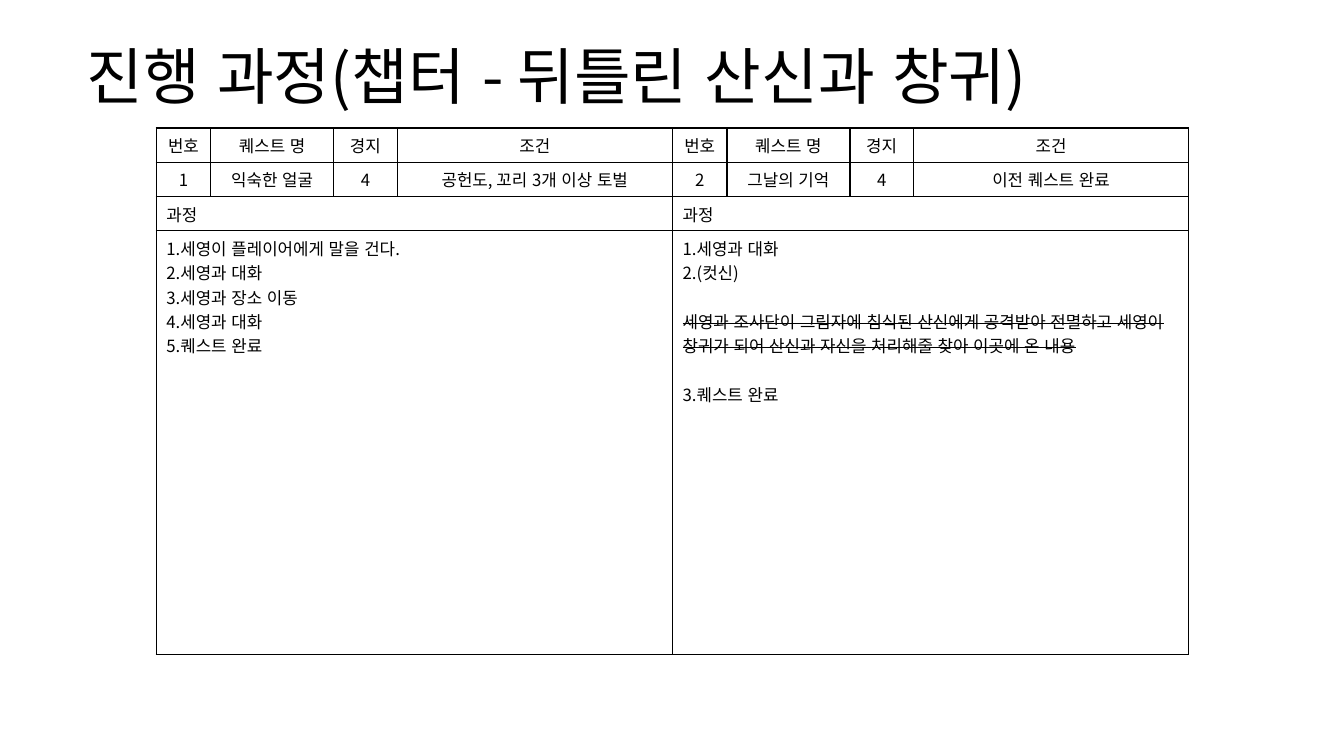
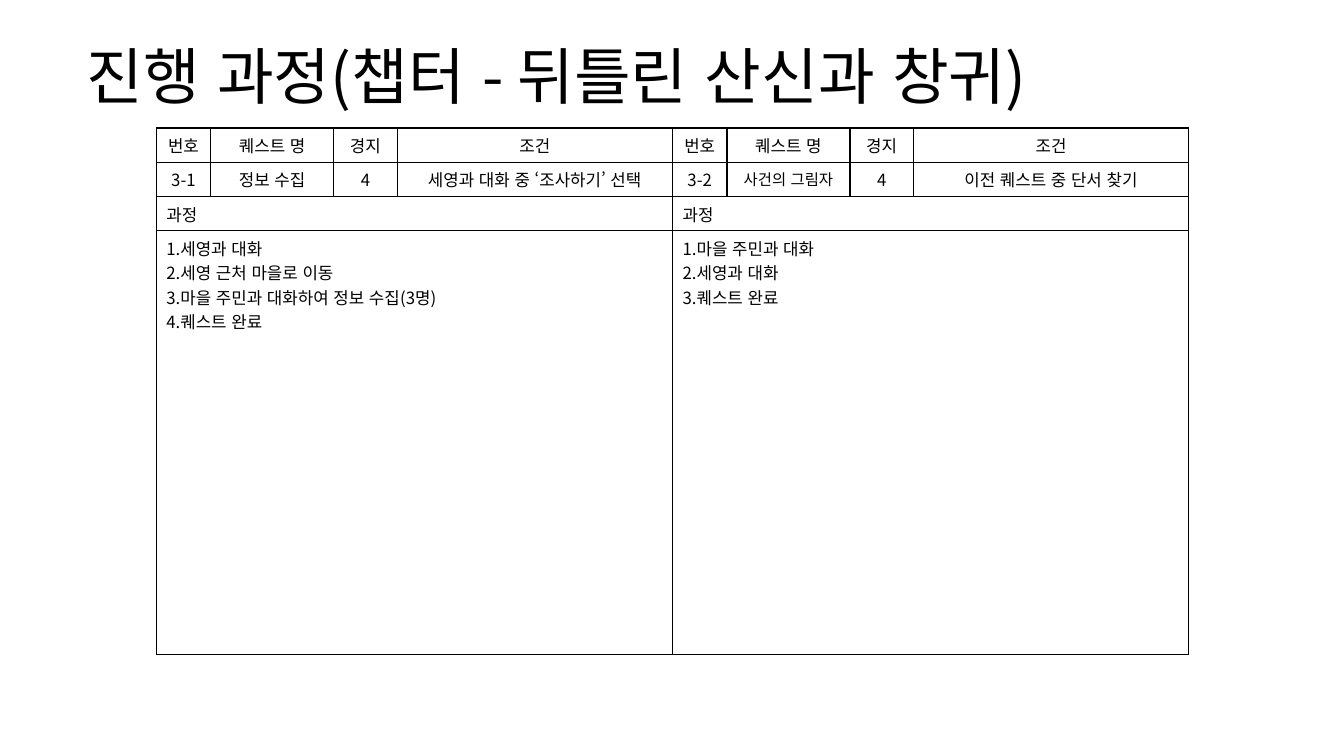
"""Build two quest progress slides, each with a title and a pair of quest tables."""
import pptx
import pptx.util
import pptx.dml.color
import pptx.enum.lang
import pptx.enum.text
import pptx.oxml
import pptx.oxml.ns

Inches, Pt = pptx.util.Inches, pptx.util.Pt
CENTER = pptx.enum.text.PP_ALIGN.CENTER
LEFT = pptx.enum.text.PP_ALIGN.LEFT
BLACK = pptx.dml.color.RGBColor(0, 0, 0)
FONT = "Noto Sans CJK KR"

TITLE = "진행 과정(챕터 - 뒤틀린 산신과 창귀)"
HEADERS = ["번호", "퀘스트 명", "경지", "조건"]
PROCESS = "과정"
CUTSCENE = (
    "세영과 조사단이 그림자에 침식된 산신에게 공격받아 전멸하고 "
    "세영이 창귀가 되어 산신과 자신을 처리해줄 찾아 이곳에 온 내용"
)
SLIDES = [
    [
        {
            "quest": ["1", "익숙한 얼굴", "4", "공헌도, 꼬리 3개 이상 토벌"],
            "steps": [
                "1.세영이 플레이어에게 말을 건다.",
                "2.세영과 대화",
                "3.세영과 장소 이동",
                "4.세영과 대화",
                "5.퀘스트 완료",
            ],
        },
        {
            "quest": ["2", "그날의 기억", "4", "이전 퀘스트 완료"],
            "steps": ["1.세영과 대화", "2.(컷신)", CUTSCENE, "3.퀘스트 완료"],
        },
    ],
    [
        {
            "quest": ["3-1", "정보 수집", "4", "세영과 대화 중 ‘조사하기’ 선택"],
            "steps": [
                "1.세영과 대화",
                "2.세영 근처 마을로 이동",
                "3.마을 주민과 대화하여 정보 수집(3명)",
                "4.퀘스트 완료",
            ],
        },
        {
            "quest": ["3-2", "사건의 그림자", "4", "이전 퀘스트 중 단서 찾기"],
            "steps": ["1.마을 주민과 대화", "2.세영과 대화", "3.퀘스트 완료"],
            "name_size": 11,
        },
    ],
]

COLS = [0.54, 1.22, 0.63, 2.73]
ROWS = [0.34, 0.34, 0.34, 4.2]
TABLE_LEFT, TABLE_TOP = 1.55, 1.27
BODY_SIZE, TITLE_SIZE = 12, 44
LINE_GAP = Pt(17.5)
PLAIN_TABLE = {"first_row": False, "horz_banding": False}
BORDER = (
    '<a:{side} {ns} w="12700"><a:solidFill><a:srgbClr val="{color}"/>'
    "</a:solidFill></a:{side}>"
)


def write(p, text, size, align=LEFT):
    p.alignment = align
    r = p.add_run()
    r.text = text
    font = {
        "name": FONT,
        "size": Pt(size),
        "language_id": pptx.enum.lang.MSO_LANGUAGE_ID.KOREAN,
    }
    for key, value in font.items():
        setattr(r.font, key, value)
    r.font.color.rgb = BLACK
    ns = pptx.oxml.ns.nsdecls("a")
    r._r.get_or_add_rPr().append(
        pptx.oxml.parse_xml(f'<a:ea {ns} typeface="{FONT}"/>')
    )
    return r


def add_title(s):
    box = s.shapes.add_textbox(Inches(0.76), Inches(0.32), Inches(11.81), Inches(0.94))
    tf = box.text_frame
    tf.word_wrap = True
    tf.vertical_anchor = pptx.enum.text.MSO_ANCHOR.MIDDLE
    p = tf.paragraphs[0]
    p.line_spacing = 0.9
    write(p, TITLE, TITLE_SIZE)


def style_cell(cell):
    tcPr = cell._tc.get_or_add_tcPr()
    for side in ("lnL", "lnR", "lnT", "lnB"):
        tcPr.append(pptx.oxml.parse_xml(BORDER.format(
            side=side, ns=pptx.oxml.ns.nsdecls("a"), color=BLACK)))
    cell.fill.background()


def add_steps(tf, steps):
    for i, step in enumerate(steps):
        p = tf.add_paragraph() if i else tf.paragraphs[0]
        r = write(p, step, BODY_SIZE)
        if step == CUTSCENE:
            p.space_before = p.space_after = LINE_GAP
            r._r.get_or_add_rPr().set("strike", "sngStrike")


def add_quest(s, quest, left):
    table = s.shapes.add_table(
        len(ROWS), len(COLS), Inches(left), Inches(TABLE_TOP),
        Inches(sum(COLS)), Inches(sum(ROWS))).table
    for key, value in PLAIN_TABLE.items():
        setattr(table, key, value)
    for col, width in zip(table.columns, COLS):
        col.width = Inches(width)
    for row, height in zip(table.rows, ROWS):
        row.height = Inches(height)
    for cell in table.iter_cells():
        style_cell(cell)
    for i, texts in enumerate([HEADERS, quest["quest"]]):
        for j, text in enumerate(texts):
            is_name = (i, j) == (1, 1)
            size = quest.get("name_size", BODY_SIZE) if is_name else BODY_SIZE
            write(table.cell(i, j).text_frame.paragraphs[0], text, size, CENTER)
    for i, lines in ((2, [PROCESS]), (3, quest["steps"])):
        table.cell(i, 0).merge(table.cell(i, len(COLS) - 1))
        add_steps(table.cell(i, 0).text_frame, lines)


def main():
    prs = pptx.Presentation()
    prs.slide_width, prs.slide_height = Inches(13.33), Inches(7.5)
    for quests in SLIDES:
        s = prs.slides.add_slide(prs.slide_layouts[6])
        add_title(s)
        for i, quest in enumerate(quests):
            add_quest(s, quest, TABLE_LEFT + i * sum(COLS))
    prs.save("out.pptx")


if __name__ == "__main__":
    main()
